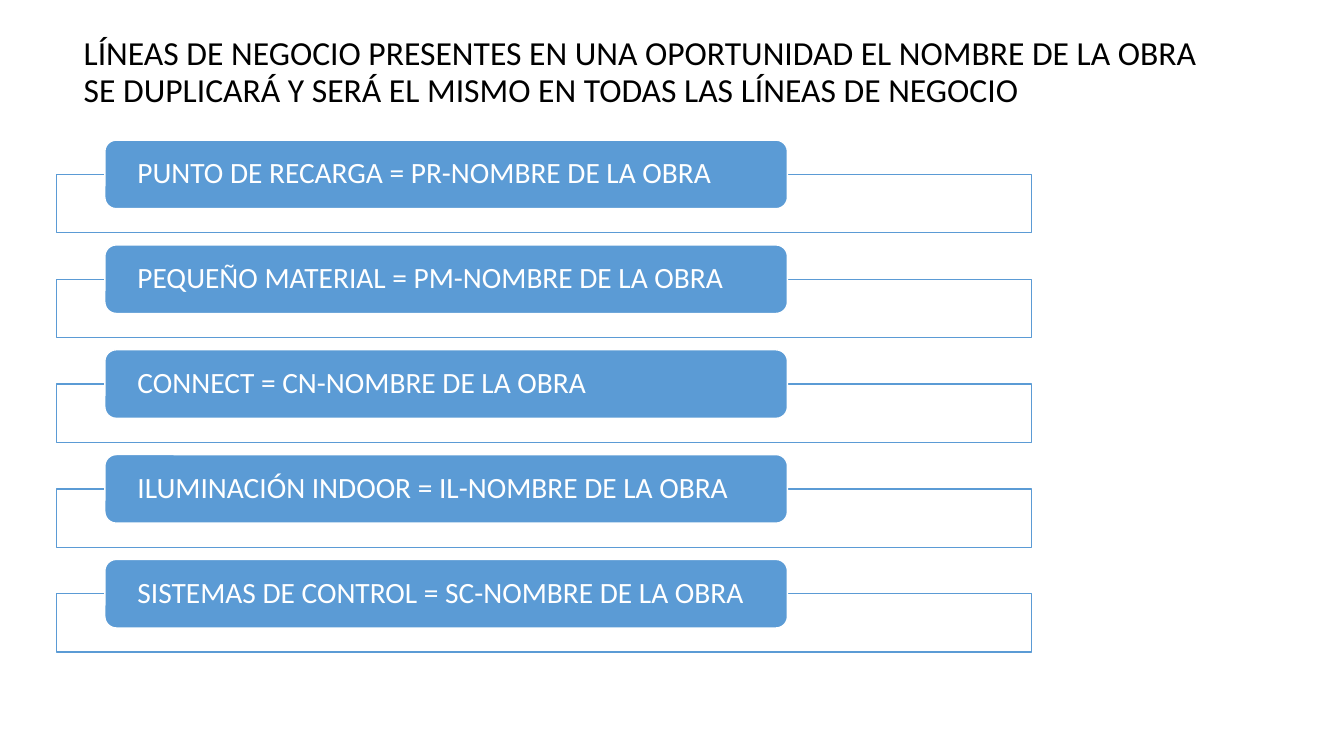
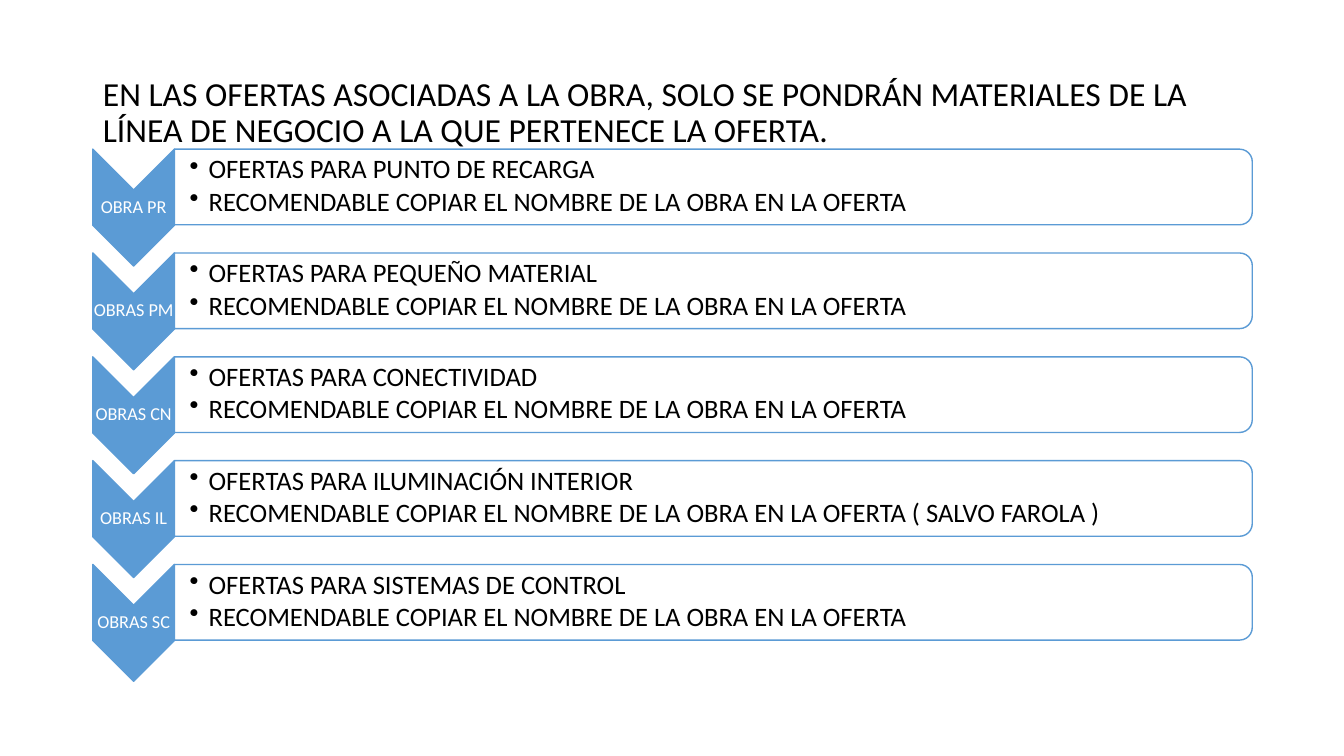
from typing import NamedTuple
from lxml.etree import SubElement
from pptx import Presentation
from pptx.dml.color import RGBColor
from pptx.enum.shapes import MSO_SHAPE
from pptx.enum.text import MSO_ANCHOR, MSO_AUTO_SIZE, PP_ALIGN
from pptx.oxml.ns import qn
from pptx.shapes.autoshape import Shape
from pptx.slide import Slide
from pptx.text.text import TextFrame
from pptx.util import Inches, Pt

BLUE = RGBColor(0x5B, 0x9B, 0xD5)
WHITE = RGBColor(0xFF, 0xFF, 0xFF)
BLACK = RGBColor(0, 0, 0)
FONT = "Calibri"
COPY = "RECOMENDABLE COPIAR EL NOMBRE DE LA OBRA EN LA OFERTA"


class Box(NamedTuple):
    left: float
    top: float
    width: float
    height: float

    def down(self, step: float) -> "Box":
        return self._replace(top=self.top + step)

    def turn(self) -> "Box":
        """Frame that covers this box once rotated by 90 degrees."""
        shift = (self.width - self.height) / 2
        return Box(self.left + shift, self.top - shift, self.height, self.width)

    def emu(self) -> list[Inches]:
        return [Inches(side) for side in self]


class Style(NamedTuple):
    size: float
    color: RGBColor
    align: PP_ALIGN = PP_ALIGN.LEFT
    after: float = 0
    bullet: bool = False


class Offer(NamedTuple):
    code: str
    lines: list[str]


TITLE = Style(24, BLACK)
LABEL = Style(21, WHITE)
CODE = Style(13, WHITE, PP_ALIGN.CENTER)
ITEM = Style(19, BLACK, after=2.5, bullet=True)

# Slide 1: business lines
LINES = [
    "PUNTO DE RECARGA = PR-NOMBRE DE LA OBRA",
    "PEQUEÑO MATERIAL = PM-NOMBRE DE LA OBRA",
    "CONNECT = CN-NOMBRE DE LA OBRA",
    "ILUMINACIÓN INDOOR = IL-NOMBRE DE LA OBRA",
    "SISTEMAS DE CONTROL = SC-NOMBRE DE LA OBRA",
]
FRAME = Box(0.56, 1.73, 9.67, 0.58)
PILL = Box(1.04, 1.39, 6.77, 0.68)
LINE_STEP = 1.04

# Slide 2: offers for each line
OFFERS = [
    Offer("OBRA PR", ["OFERTAS PARA PUNTO DE RECARGA", COPY]),
    Offer("OBRAS PM", ["OFERTAS PARA PEQUEÑO MATERIAL", COPY]),
    Offer("OBRAS CN", ["OFERTAS PARA CONECTIVIDAD", COPY]),
    Offer("OBRAS IL", ["OFERTAS PARA ILUMINACIÓN INTERIOR", COPY + " ( SALVO FAROLA )"]),
    Offer("OBRAS SC", ["OFERTAS PARA SISTEMAS DE CONTROL", COPY]),
]
ARROW = Box(0.92, 1.48, 0.81, 1.16)
TAG = Box(0.92, 1.88, 0.81, 0.35)
PANEL = Box(1.73, 1.48, 10.69, 0.75)
LIST = Box(1.73, 1.51, 10.65, 0.68)
OFFER_STEP = 1.03


def write(frame: TextFrame, lines: list[str], style: Style,
          left: float = 0.1, right: float = 0.1, edge: float = 0.05) -> None:
    frame.word_wrap = True
    frame.auto_size = MSO_AUTO_SIZE.NONE
    frame.vertical_anchor = MSO_ANCHOR.MIDDLE
    frame.margin_left, frame.margin_right = Inches(left), Inches(right)
    frame.margin_top = frame.margin_bottom = Inches(edge)
    for i, line in enumerate(lines):
        para = frame.add_paragraph() if i else frame.paragraphs[0]
        para.text = line
        para.alignment = style.align
        para.line_spacing = 0.9
        para.space_after = Pt(style.after)
        para.font.name = FONT
        para.font.size = Pt(style.size)
        para.font.color.rgb = style.color
        if style.bullet:
            props = para._p.get_or_add_pPr()
            props.set("marL", str(Inches(0.19)))
            props.set("indent", str(-Inches(0.19)))
            # Bullet elements precede the default run properties
            mark = SubElement(props, qn("a:buChar"), char="•")
            props.find(qn("a:defRPr")).addprevious(mark)


def add_form(slide: Slide, kind: MSO_SHAPE, box: Box, fill: RGBColor,
             line: RGBColor, turned: bool = False) -> Shape:
    place = box.turn() if turned else box
    form = slide.shapes.add_shape(kind, *place.emu())
    form.rotation = 90 if turned else 0
    form.shadow.inherit = False
    form.fill.solid()
    form.fill.fore_color.rgb = fill
    form.line.color.rgb = line
    form.line.width = Pt(1)
    return form


def add_text(slide: Slide, box: Box, lines: list[str], style: Style,
             left: float) -> None:
    frame = slide.shapes.add_textbox(*box.emu()).text_frame
    write(frame, lines, style, left, 0.01, 0.01)


def add_slide(deck: Presentation, title: str, box: Box) -> Slide:
    slide = deck.slides.add_slide(deck.slide_layouts[5])
    head = slide.shapes.title
    head.left, head.top, head.width, head.height = box.emu()
    write(head.text_frame, [title], TITLE)
    return slide


def add_line(slide: Slide, text: str, step: float) -> None:
    add_form(slide, MSO_SHAPE.RECTANGLE, FRAME.down(step), WHITE, BLUE)
    pill = add_form(slide, MSO_SHAPE.ROUNDED_RECTANGLE, PILL.down(step), BLUE, WHITE)
    write(pill.text_frame, [text], LABEL, 0.29, 0.29, 0)


def add_offer(slide: Slide, offer: Offer, step: float) -> None:
    add_form(slide, MSO_SHAPE.CHEVRON, ARROW.down(step), BLUE, BLUE, True)
    add_text(slide, TAG.down(step), [offer.code], CODE, 0.01)
    add_form(slide, MSO_SHAPE.ROUND_2_SAME_RECTANGLE, PANEL.down(step), WHITE, BLUE, True)
    add_text(slide, LIST.down(step), offer.lines, ITEM, 0.15)


def main() -> None:
    deck = Presentation()
    deck.slide_width, deck.slide_height = Inches(13.33), Inches(7.5)

    slide = add_slide(
        deck,
        "LÍNEAS DE NEGOCIO PRESENTES EN UNA OPORTUNIDAD EL NOMBRE DE LA OBRA "
        "SE DUPLICARÁ Y SERÁ EL MISMO EN TODAS LAS LÍNEAS DE NEGOCIO",
        Box(0.73, 0, 11.5, 1.45),
    )
    for i, text in enumerate(LINES):
        add_line(slide, text, i * LINE_STEP)

    slide = add_slide(
        deck,
        "EN LAS OFERTAS ASOCIADAS A LA OBRA, SOLO SE PONDRÁN MATERIALES DE LA "
        "LÍNEA DE NEGOCIO A LA QUE PERTENECE LA OFERTA.",
        Box(0.92, 0.4, 11.5, 1.45),
    )
    for i, offer in enumerate(OFFERS):
        add_offer(slide, offer, i * OFFER_STEP)

    deck.save("out.pptx")


if __name__ == "__main__":
    main()
